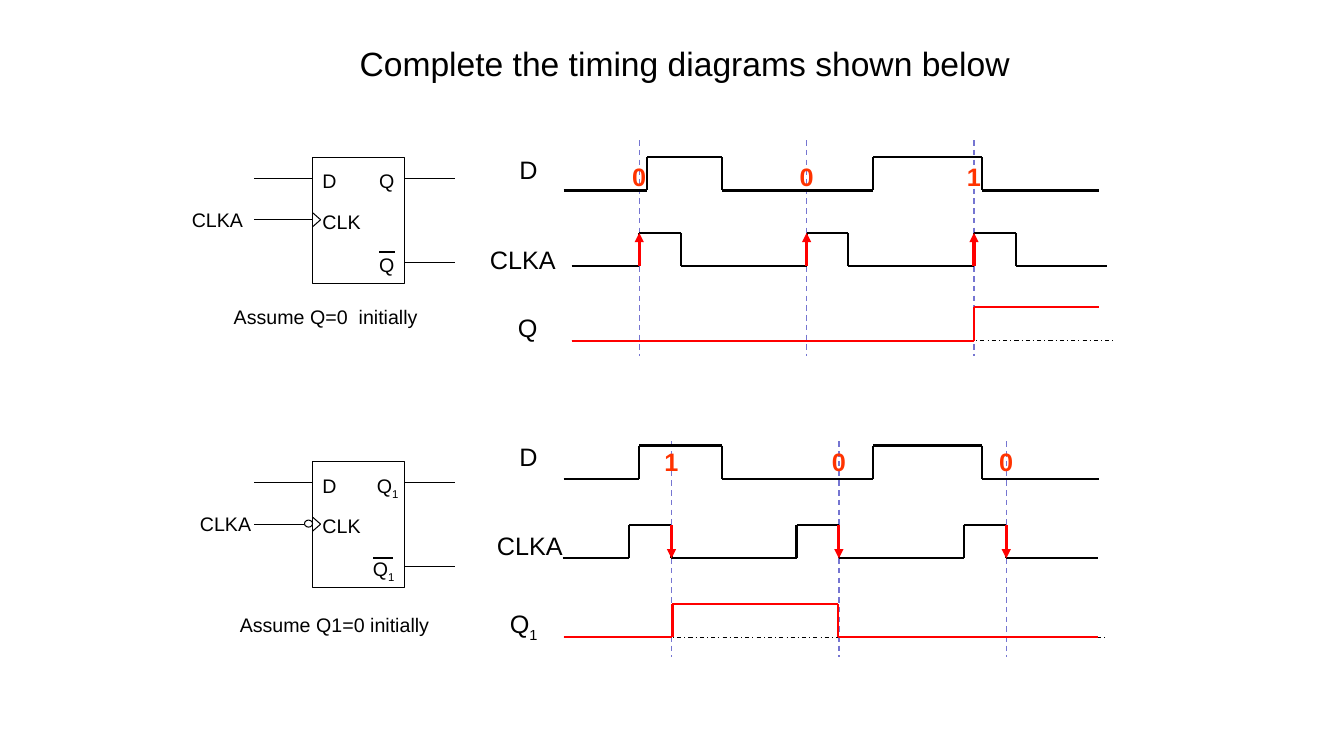
import pptx
import pptx.util
import pptx.dml.color
import pptx.enum.dml
import pptx.enum.shapes
import pptx.enum.text
import pptx.oxml.ns
from lxml import etree

Inches = pptx.util.Inches
ALIGN = pptx.enum.text.PP_ALIGN
SHAPE = pptx.enum.shapes.MSO_SHAPE
DASH = pptx.enum.dml.MSO_LINE
qn = pptx.oxml.ns.qn

TITLE = "Complete the timing diagrams shown below"
COLORS = {"ink": "000000", "answer": "FF0000", "bit": "FF3300", "sample": "7575D1"}
FONT = "Arial"
SWING = 0.33  # height of a pulse
BLOCK_LEFT, BLOCK_WIDTH, BLOCK_HEIGHT = 3.1, 0.91, 1.25
BLOCK_RIGHT = BLOCK_LEFT + BLOCK_WIDTH

# A wave starts low and toggles at each edge; "_" marks a subscript.
PANELS = [
    {
        "block_top": 1.56, "output": "Q", "output_right": 4.01, "bar": (3.76, 3.92),
        "bar_drop": 0.94, "clock_right": 2.51, "inverted": False,
        "note": ("Assume Q=0  initially", 2.22, 2.98),
        "sample_top": 1.39, "bits": "001", "bit_top": 1.55, "guide_end": 11.07,
        "waves": [
            {"label": ("D", 5.43, 1.48), "span": (5.59, 10.9), "low": 1.89,
             "edges": [6.42, 7.16, 8.66, 9.74]},
            {"label": ("CLKA", 5.61, 2.37), "span": (5.67, 10.98), "low": 2.64,
             "edges": [6.34, 6.75, 8, 8.41, 9.66, 10.08]},
            {"label": ("Q", 5.43, 3.05), "span": (5.67, 10.9), "low": 3.38,
             "edges": [9.66]},
        ],
    },
    {
        "block_top": 4.58, "output": "Q_1", "output_right": 4.05, "bar": (3.7, 3.9),
        "bar_drop": 0.96, "clock_right": 2.59, "inverted": True,
        "note": ("Assume Q1=0 initially", 2.28, 6.03),
        "sample_top": 4.38, "bits": "100", "bit_top": 4.38, "guide_end": 10.98,
        "waves": [
            {"label": ("D", 5.43, 4.33), "span": (5.59, 10.9), "low": 4.75,
             "edges": [6.34, 7.16, 8.66, 9.74]},
            {"label": ("CLKA", 5.68, 5.21), "span": (5.58, 10.89), "low": 5.54,
             "edges": [6.24, 6.66, 7.9, 8.32, 9.56, 9.98]},
            {"label": ("Q_1", 5.43, 5.99), "span": (5.59, 10.89), "low": 6.32,
             "edges": [6.67, 8.31]},
        ],
    },
]


def rgb(name):
    return pptx.dml.color.RGBColor.from_string(COLORS[name])


def style_font(paragraph, size, color="ink", bold=False):
    font = paragraph.font
    font.name, font.size, font.bold = FONT, pptx.util.Pt(size), bold
    font.color.rgb = rgb(color)


def add_label(slide, text, left, top, width, size=14, align=ALIGN.LEFT, **style):
    height = 0.4 if size == 18 else 0.34
    box = slide.shapes.add_textbox(Inches(left), Inches(top), Inches(width), Inches(height))
    box.text_frame.word_wrap = True
    paragraph = box.text_frame.paragraphs[0]
    paragraph.alignment = align
    base, _, subscript = text.partition("_")
    paragraph.add_run().text = base
    if subscript:
        run = paragraph.add_run()
        run.text = subscript
        run._r.get_or_add_rPr().set("baseline", "-25000")
    style_font(paragraph, size, **style)


def add_right_label(slide, text, right, top, width, size=14):
    add_label(slide, text, right - width, top, width, size, ALIGN.RIGHT)


def add_line(slide, start, end, color="ink", width=0.75, dash=None, arrow=False):
    line = slide.shapes.add_connector(
        pptx.enum.shapes.MSO_CONNECTOR.STRAIGHT, *map(Inches, (*start, *end)))
    line.line.color.rgb = rgb(color)
    line.line.width = pptx.util.Pt(width)
    if dash:
        line.line.dash_style = dash
    properties = line.element.spPr
    if arrow:
        etree.SubElement(properties.find(qn("a:ln")), qn("a:tailEnd"), type="triangle")
    etree.SubElement(properties, qn("a:effectLst"))


def add_outline(slide, kind, left, top, width, height):
    shape = slide.shapes.add_shape(kind, *map(Inches, (left, top, width, height)))
    shape.shadow.inherit = False
    shape.fill.background()
    shape.line.color.rgb = rgb("ink")
    shape.line.width = pptx.util.Pt(0.75)


def add_wave(slide, wave, color):
    low = wave["low"]
    start, end = wave["span"]
    points = [(start, low)]
    for x in wave["edges"]:
        level = points[-1][1]
        points += [(x, level), (x, low - SWING if level == low else low)]
    points.append((end, points[-1][1]))
    for first, second in zip(points, points[1:]):
        add_line(slide, first, second, color, 1.5)
    text, right, top = wave["label"]
    add_right_label(slide, text, right, top, 1, 18)


def add_flip_flop(slide, panel):
    top = panel["block_top"]
    data_y, clock_y, inverse_y = top + 0.21, top + 0.62, top + 1.04
    add_outline(slide, SHAPE.RECTANGLE, BLOCK_LEFT, top, BLOCK_WIDTH, BLOCK_HEIGHT)
    clock_end = BLOCK_LEFT
    if panel["inverted"]:
        clock_end -= 0.08
        add_outline(slide, SHAPE.OVAL, clock_end, clock_y - 0.04, 0.08, 0.07)
    add_line(slide, (2.52, data_y), (BLOCK_LEFT, data_y))
    add_line(slide, (2.52, clock_y), (clock_end, clock_y))
    for y in (data_y, inverse_y):
        add_line(slide, (BLOCK_RIGHT, y), (BLOCK_RIGHT + 0.5, y))
    for y in (clock_y - 0.07, clock_y + 0.07):
        add_line(slide, (BLOCK_LEFT, y), (BLOCK_LEFT + 0.08, clock_y))
    bar_y = top + panel["bar_drop"]
    add_line(slide, (panel["bar"][0], bar_y), (panel["bar"][1], bar_y), width=1.5)
    add_label(slide, "D", BLOCK_LEFT, top + 0.07, 0.5)
    add_label(slide, "CLK", BLOCK_LEFT, top + 0.47, 0.74)
    add_right_label(slide, panel["output"], panel["output_right"], top + 0.07, 0.55)
    add_right_label(slide, panel["output"], BLOCK_RIGHT, top + 0.9, 0.55)
    add_right_label(slide, "CLKA", panel["clock_right"], top + 0.45, 1)
    text, left, note_top = panel["note"]
    add_label(slide, text, left, note_top, 2.5)


def add_timing(slide, panel):
    data, clock, output = panel["waves"]
    samples = clock["edges"][int(panel["inverted"])::2]
    for x in samples:
        sample_top = panel["sample_top"]
        add_line(slide, (x, sample_top), (x, sample_top + 2.14), "sample", 1, DASH.DASH)
    add_wave(slide, data, "ink")
    add_wave(slide, clock, "ink")
    add_line(slide, (output["span"][0], output["low"]), (panel["guide_end"], output["low"]),
             dash=DASH.DASH_DOT)
    add_wave(slide, output, "answer")
    for x, bit in zip(samples, panel["bits"]):
        ends = [(x, clock["low"]), (x, clock["low"] - SWING)]
        if panel["inverted"]:
            ends.reverse()
        add_line(slide, *ends, "answer", 2.25, arrow=True)
        add_label(slide, bit, x - 0.2, panel["bit_top"], 0.4, 18, ALIGN.CENTER,
                  color="bit", bold=True)


def add_title(slide):
    title = slide.shapes.title
    title.left, title.top, title.width, title.height = map(Inches, (3.43, 0.38, 6.72, 0.5))
    frame = title.text_frame
    frame.text = TITLE
    frame.word_wrap = True
    frame.auto_size = pptx.enum.text.MSO_AUTO_SIZE.NONE
    frame.vertical_anchor = pptx.enum.text.MSO_ANCHOR.TOP
    frame.paragraphs[0].alignment = ALIGN.CENTER
    style_font(frame.paragraphs[0], 24)


def main():
    presentation = pptx.Presentation()
    presentation.slide_width, presentation.slide_height = Inches(13.33), Inches(7.5)
    slide = presentation.slides.add_slide(presentation.slide_layouts[5])
    add_title(slide)
    for panel in PANELS:
        add_flip_flop(slide, panel)
        add_timing(slide, panel)
    presentation.save("out.pptx")


if __name__ == "__main__":
    main()
